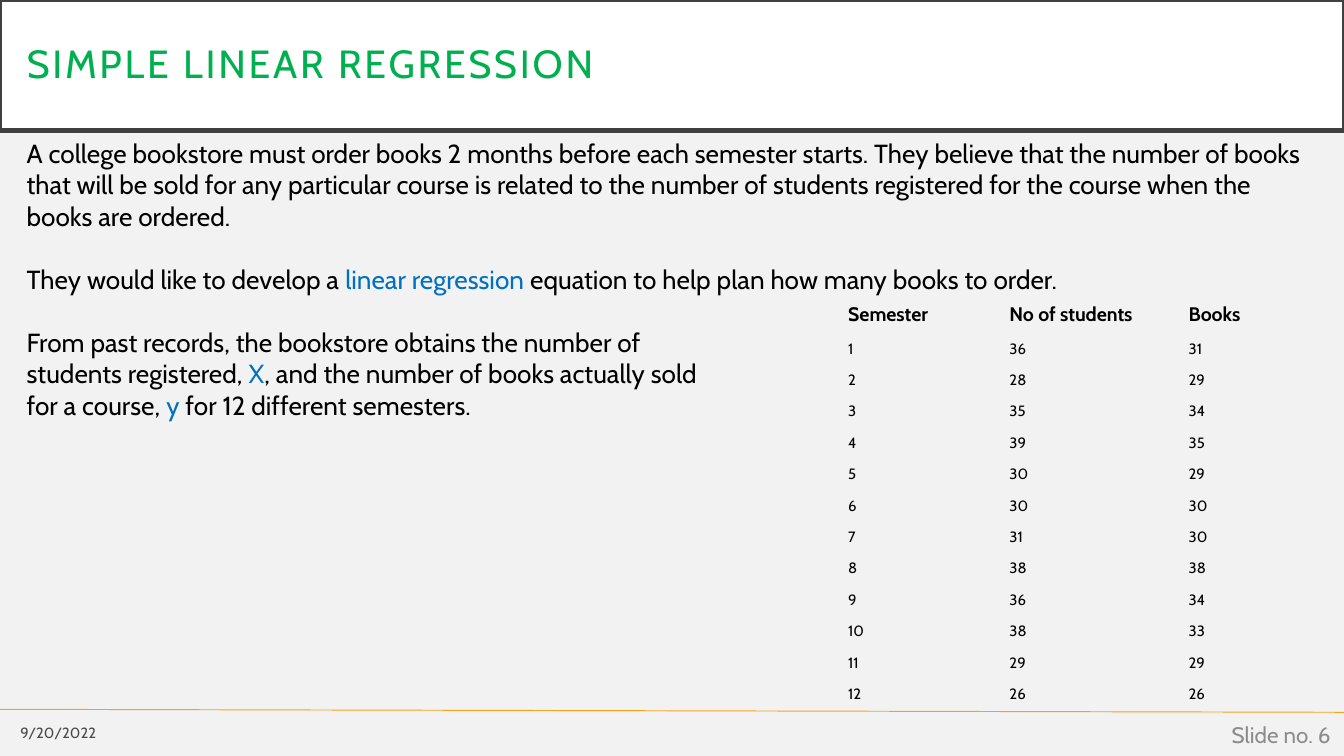
"""Build the simple linear regression slide with its bookstore table."""
import pptx
import pptx.dml.color
import pptx.enum.shapes
import pptx.enum.text
import pptx.oxml
import pptx.oxml.ns
import pptx.util

Pt = pptx.util.Pt
ALIGN = pptx.enum.text.PP_ALIGN
ANCHOR = pptx.enum.text.MSO_ANCHOR
BLACK, BLUE = "000000", "0070C0"
NO_GRID_STYLE = "{2D5ABB26-0587-4C30-8999-92F81FD0307C}"

STORY = [
    (0, ["A college bookstore must order books 2 months before each semester starts. "
         "They believe that the number of books that will be sold for any particular "
         "course is related to the number of students registered for the course when "
         "the books are ordered."]),
    (17, ["They would like to develop a ", "linear regression ",
          "equation to help plan how many books to order."]),
    (17, ["From past records, the bookstore obtains the number of"]),
    (0, ["students registered, ", "X", ", and the number of books actually sold"]),
    (0, ["for a course, ", "y", " for 12 different semesters."]),
]
HEADINGS = ["Semester", "No of students", "Books"]
STUDENTS = [36, 28, 35, 39, 30, 30, 31, 38, 36, 38, 29, 26]
BOOKS = [31, 29, 34, 35, 29, 30, 30, 38, 34, 33, 29, 26]


def rgb(value):
    return pptx.dml.color.RGBColor.from_string(value)


def apply_format(target, values):
    for name, value in values.items():
        setattr(target, name, value)


class SlideBuilder:
    def __init__(self, slide, font_name, background):
        self.slide = slide
        self.font_name = font_name
        slide.background.fill.solid()
        slide.background.fill.fore_color.rgb = rgb(background)

    def run(self, paragraph, text, color, **font):
        run = paragraph.add_run()
        run.text = text
        apply_format(run.font, {"name": self.font_name, **font})
        run.font.color.rgb = rgb(color)
        return run

    def line(self, start, end, color, width):
        connector = self.slide.shapes.add_connector(
            pptx.enum.shapes.MSO_CONNECTOR.STRAIGHT, *map(Pt, start + end))
        connector.line.color.rgb = rgb(color)
        connector.line.width = Pt(width)
        properties = connector._element.spPr
        properties.append(pptx.oxml.parse_xml(
            "<a:effectLst %s/>" % pptx.oxml.ns.nsdecls("a")))

    def title(self, box, text):
        shape = self.slide.shapes.add_shape(
            pptx.enum.shapes.MSO_SHAPE.RECTANGLE, *map(Pt, box))
        shape.shadow.inherit = False
        shape.fill.solid()
        shape.fill.fore_color.rgb = rgb("FFFFFF")
        shape.line.color.rgb = rgb("404040")
        shape.line.width = Pt(2.5)
        margins = ("margin_left", "margin_right", "margin_top", "margin_bottom")
        apply_format(shape.text_frame, {
            **dict.fromkeys(margins, Pt(14.4)),
            "word_wrap": True, "vertical_anchor": ANCHOR.MIDDLE})
        paragraph = shape.text_frame.paragraphs[0]
        apply_format(paragraph, {"alignment": ALIGN.LEFT, "line_spacing": 0.9})
        run = self.run(paragraph, text, "00B050", size=Pt(21))
        run.font._element.set("spc", "150")

    def text(self, box, paragraphs, size, color=BLACK, accent=BLUE,
             alignment=ALIGN.LEFT, anchor=ANCHOR.TOP):
        frame = self.slide.shapes.add_textbox(*map(Pt, box)).text_frame
        apply_format(frame, {"word_wrap": True, "vertical_anchor": anchor})
        for index, (space, pieces) in enumerate(paragraphs):
            paragraph = frame.add_paragraph() if index else frame.paragraphs[0]
            paragraph.alignment = alignment
            if space:
                paragraph.space_before = Pt(space)
            for position, piece in enumerate(pieces):
                self.run(paragraph, piece, accent if position % 2 else color,
                         size=Pt(size))

    def footer(self, box, text, size, color):
        self.text(box, [(0, [text])], size, color,
                  alignment=ALIGN.RIGHT, anchor=ANCHOR.MIDDLE)

    def table(self, left, top, widths, rows, header_height, row_height):
        heights = [header_height] + [row_height] * (len(rows) - 1)
        frame = self.slide.shapes.add_table(
            len(rows), len(widths),
            *map(Pt, (left, top, sum(widths), sum(heights))))
        table = frame.table
        apply_format(table, {"first_row": False, "horz_banding": False})
        table._tbl.tblPr.find(pptx.oxml.ns.qn("a:tableStyleId")).text = NO_GRID_STYLE
        for column, width in zip(table.columns, widths):
            column.width = Pt(width)
        for index, (row, height, values) in enumerate(zip(table.rows, heights, rows)):
            row.height = Pt(height)
            for cell, value in zip(row.cells, values):
                cell.fill.background()
                self.run(cell.text_frame.paragraphs[0], str(value), BLACK,
                         size=Pt(8 if index else 10.5), bold=index == 0)


def main():
    presentation = pptx.Presentation()
    apply_format(presentation, {"slide_width": Pt(720), "slide_height": Pt(405)})
    slide = presentation.slides.add_slide(presentation.slide_layouts[6])
    builder = SlideBuilder(slide, "Cabin", "F2F2F2")
    builder.line((0, 380), (720, 381.6), "F6A21D", 0.5)
    builder.title((0, 0, 720, 70), "SIMPLE LINEAR REGRESSION")
    builder.footer((0, 382.5, 58.5, 19.5), "9/20/2022", 7.9, "494949")
    builder.footer((558, 383, 162, 21.6), "Slide no. 6", 12, "8C8C8C")
    builder.text((7.2, 70, 699, 177), STORY, 14)
    records = zip(range(1, len(BOOKS) + 1), STUDENTS, BOOKS)
    builder.table(447.2, 158.4, [86.4, 96, 77], [HEADINGS, *records], 20, 16.8)
    presentation.save("out.pptx")


if __name__ == "__main__":
    main()
